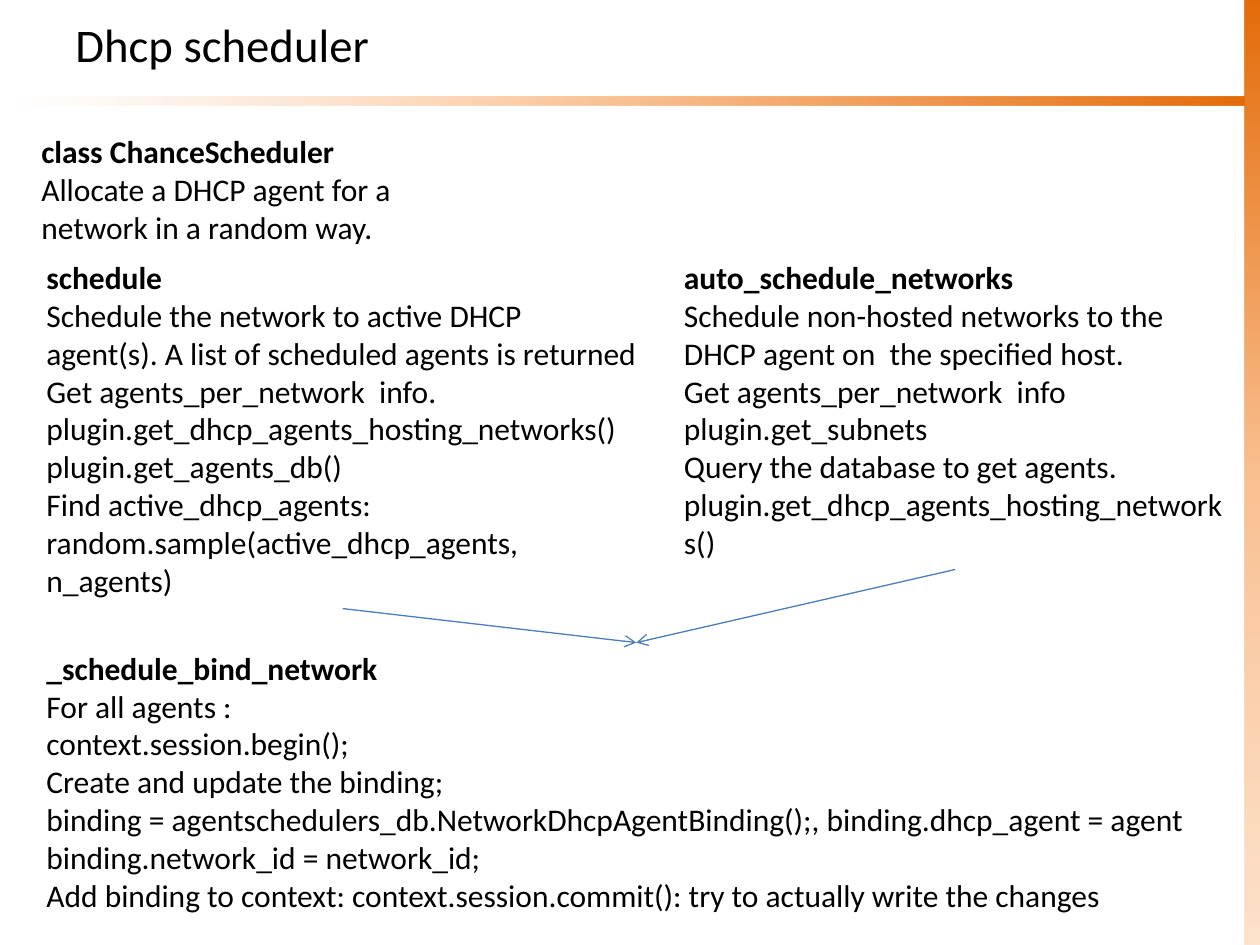
from lxml.etree import SubElement
from pptx import Presentation
from pptx.dml.color import RGBColor
from pptx.enum.shapes import MSO_CONNECTOR, MSO_SHAPE
from pptx.enum.text import MSO_ANCHOR, MSO_AUTO_SIZE
from pptx.oxml.ns import qn
from pptx.util import Inches, Pt

WIDTH, HEIGHT = 10, 7.5
LEFT_COLUMN, RIGHT_COLUMN = 0.27, 5.33
METHODS_TOP, BINDING_TOP = 2, 5.1
BAND_LEFT = 9.88
ORANGE, PEACH, PALE = "E46C0A", "FAC090", "FCD5B5"


def color(value):
    return RGBColor.from_string(value)


def add_band(slide, box, stops, angle):
    """Rectangle with a gradient; stops are (percent, colour, opacity percent)."""
    shape = slide.shapes.add_shape(MSO_SHAPE.RECTANGLE, *map(Inches, box))
    shape.shadow.inherit = False
    shape.line.fill.background()
    shape.fill.gradient()
    shape.fill.gradient_angle = angle
    stop_list = shape._element.spPr.find(qn("a:gradFill")).find(qn("a:gsLst"))
    for old_stop in list(stop_list):
        stop_list.remove(old_stop)
    for position, value, opacity in stops:
        stop = SubElement(stop_list, qn("a:gs"), pos=str(position * 1000))
        stop_color = SubElement(stop, qn("a:srgbClr"), val=value)
        if opacity < 100:
            SubElement(stop_color, qn("a:alpha"), val=str(opacity * 1000))


def add_text(slide, box, lines, size=18, heading=True, anchor=MSO_ANCHOR.TOP,
             auto_size=MSO_AUTO_SIZE.SHAPE_TO_FIT_TEXT):
    """Text box with one paragraph a line; a heading makes the first one bold."""
    frame = slide.shapes.add_textbox(*map(Inches, box)).text_frame
    frame.word_wrap = True
    frame.auto_size = auto_size
    frame.vertical_anchor = anchor
    for index, line in enumerate(lines):
        paragraph = frame.paragraphs[0] if index == 0 else frame.add_paragraph()
        run = paragraph.add_run()
        run.text = line
        run.font.name = "Calibri"
        run.font.size = Pt(size)
        run.font.bold = heading and index == 0
        run.font.color.rgb = color("000000")


def add_arrow(slide, start, end):
    connector = slide.shapes.add_connector(
        MSO_CONNECTOR.STRAIGHT, *map(Inches, start + end))
    connector.line.color.rgb = color("4B7EBC")
    connector.line.width = Pt(0.75)
    SubElement(connector.line._get_or_add_ln(), qn("a:tailEnd"), type="arrow")
    SubElement(connector._element.spPr, qn("a:effectLst"))


def main():
    presentation = Presentation()
    presentation.slide_width = Inches(WIDTH)
    presentation.slide_height = Inches(HEIGHT)
    slide = presentation.slides.add_slide(presentation.slide_layouts[6])

    # Side band and title rule
    add_band(slide, (BAND_LEFT, 0, WIDTH - BAND_LEFT, HEIGHT),
             [(0, ORANGE, 100), (50, PEACH, 100), (100, PALE, 69)], angle=270)
    add_band(slide, (0.12, 0.77, BAND_LEFT - 0.12, 0.07),
             [(0, PALE, 0), (50, PEACH, 100), (100, ORANGE, 100)], angle=0)

    # Title and class summary
    add_text(slide, (0.5, -0.28, 9, 1.25), ["Dhcp scheduler"], size=26.7,
             heading=False, anchor=MSO_ANCHOR.MIDDLE, auto_size=MSO_AUTO_SIZE.NONE)
    add_text(slide, (0.23, 1, 3.5, 1.01), [
        "class ChanceScheduler",
        "Allocate a DHCP agent for a network in a random way.",
    ])

    # Two scheduling methods
    add_text(slide, (LEFT_COLUMN, METHODS_TOP, 4.9, 2.83), [
        "schedule",
        "Schedule the network to active DHCP agent(s). "
        "A list of scheduled agents is returned",
        "Get agents_per_network  info.",
        "plugin.get_dhcp_agents_hosting_networks()",
        "plugin.get_agents_db()",
        "Find active_dhcp_agents:",
        "random.sample(active_dhcp_agents, n_agents)",
    ])
    add_text(slide, (RIGHT_COLUMN, METHODS_TOP, 4.5, 2.52), [
        "auto_schedule_networks",
        "Schedule non-hosted networks to the DHCP agent on  the specified host.",
        "Get agents_per_network  info",
        "plugin.get_subnets",
        "Query the database to get agents.",
        "plugin.get_dhcp_agents_hosting_networks()",
    ])

    # Shared binding step
    add_text(slide, (LEFT_COLUMN, BINDING_TOP, 9.56, 2.22), [
        "_schedule_bind_network",
        "For all agents : ",
        "context.session.begin(); ",
        "Create and update the binding;",
        "binding = agentschedulers_db.NetworkDhcpAgentBinding();, "
        "binding.dhcp_agent = agent",
        "binding.network_id = network_id;",
        "Add binding to context: context.session.commit(): "
        "try to actually write the changes",
    ])

    # Arrows from both methods to the binding step
    for start in ((2.72, 4.83), (7.58, 4.52)):
        add_arrow(slide, start, (5.05, BINDING_TOP))

    presentation.save("out.pptx")


main()
